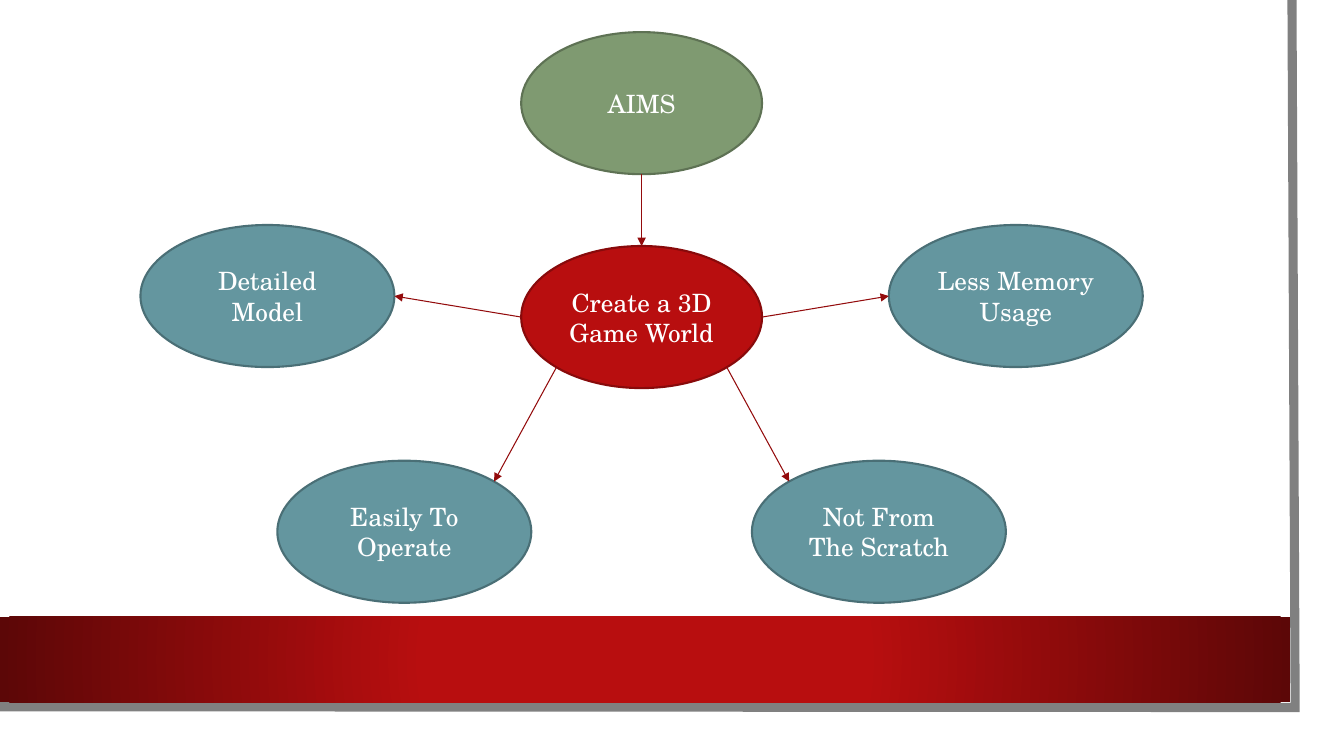
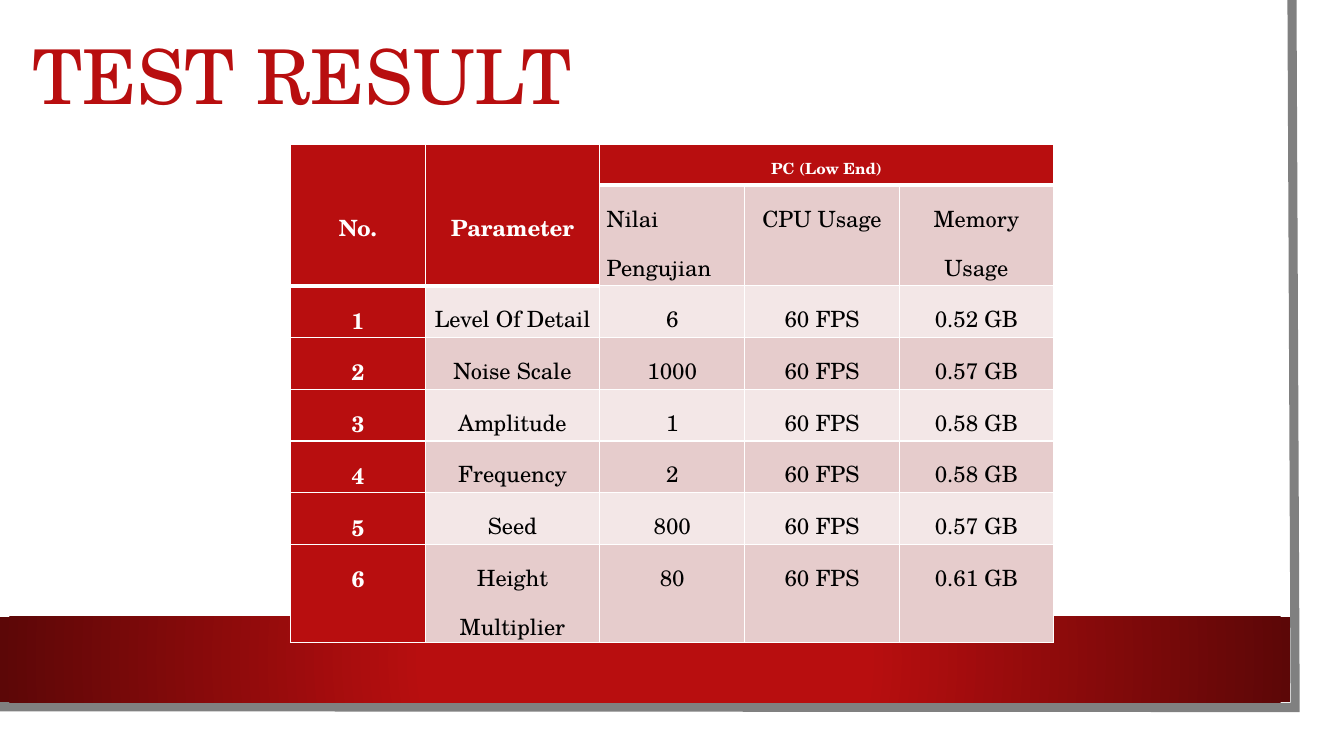
from math import sqrt

from lxml.etree import SubElement
from pptx import Presentation
from pptx.dml.color import RGBColor
from pptx.enum.shapes import MSO_CONNECTOR, MSO_SHAPE
from pptx.enum.text import MSO_ANCHOR, MSO_AUTO_SIZE, PP_ALIGN
from pptx.oxml.ns import qn
from pptx.util import Cm, Pt

FONT = "TeX Gyre Schola"
WHITE = RGBColor(0xFF, 0xFF, 0xFF)
BLACK = RGBColor(0x00, 0x00, 0x00)
GREY = RGBColor(0x80, 0x80, 0x80)
RED = RGBColor(0xB8, 0x0E, 0x0F)
RED_OUTLINE = RGBColor(0x88, 0x0A, 0x0B)
RED_ARROW = RGBColor(0x93, 0x0B, 0x0C)
DARK_RED = RGBColor(0x5C, 0x07, 0x07)
TEAL = RGBColor(0x64, 0x96, 0x9F)
TEAL_OUTLINE = RGBColor(0x4A, 0x6F, 0x76)
GREEN = RGBColor(0x7F, 0x9A, 0x71)
GREEN_OUTLINE = RGBColor(0x5E, 0x72, 0x54)
PINK = RGBColor(0xE6, 0xCC, 0xCC)
PALE_PINK = RGBColor(0xF3, 0xE7, 0xE7)

TITLE_ONLY, BLANK = 5, 6
OVAL_HEIGHT = 3.58
DIAGONAL = sqrt(0.5)


class Deck:
    """Holds the style, the presentation and the slide being filled."""

    def __init__(self):
        self.deck = Presentation()
        self.deck.slide_width, self.deck.slide_height = Cm(33.87), Cm(19.05)
        self.page = None

    def new_page(self, layout):
        self.page = self.deck.slides.add_slide(self.deck.slide_layouts[layout])
        self.add_paper_edge()
        self.add_banner()

    def add_paper_edge(self):
        builder = self.page.shapes.build_freeform(Cm(32.56), 0)
        corners = [(Cm(32.64), Cm(17.83)), (0, Cm(17.81))]
        builder.add_line_segments(corners, close=False)
        edge = builder.convert_to_shape()
        edge.shadow.inherit = False
        edge.fill.background()
        edge.line.color.rgb = GREY
        edge.line.width = Pt(6.5)
        SubElement(edge.line._get_or_add_ln(), qn("a:miter"), lim="800000")

    def add_banner(self):
        banner = self.page.shapes.add_shape(
            MSO_SHAPE.RECTANGLE, 0, Cm(15.54), Cm(32.51), Cm(2.16))
        banner.shadow.inherit = False
        banner.line.fill.background()
        banner.fill.gradient()
        stops = banner.fill.gradient_stops
        for stop, position, color in zip(stops, (0.34, 1), (RED, DARK_RED)):
            stop.position = position
            stop.color.rgb = color
        gradient = banner._element.spPr.find(qn("a:gradFill"))
        gradient.remove(gradient.find(qn("a:lin")))
        circle = SubElement(gradient, qn("a:path"))
        circle.set("path", "circle")
        SubElement(circle, qn("a:fillToRect"),
                   dict.fromkeys("ltrb", "50000"))

    def style(self, text_frame, size, color, bold=False,
              align=PP_ALIGN.CENTER, spacing=None):
        for paragraph in text_frame.paragraphs:
            paragraph.alignment = align
            paragraph.line_spacing = spacing
            for span in paragraph.runs:
                span.font.name = FONT
                span.font.size = Pt(size)
                span.font.bold = bold
                span.font.color.rgb = color

    def add_title(self, text):
        title = self.page.shapes.title
        title.left, title.top = Cm(0.56), Cm(0.41)
        title.width, title.height = Cm(14.3), Cm(3.2)
        frame = title.text_frame
        frame.text = text
        frame.auto_size = MSO_AUTO_SIZE.NONE
        frame.vertical_anchor = MSO_ANCHOR.MIDDLE
        self.style(frame, 54, RED, align=PP_ALIGN.LEFT, spacing=0.9)

    def add_oval(self, text, center, top, width, fill, outline):
        oval = self.page.shapes.add_shape(
            MSO_SHAPE.OVAL, Cm(center - width / 2), Cm(top),
            Cm(width), Cm(OVAL_HEIGHT))
        oval.shadow.inherit = False
        oval.fill.solid()
        oval.fill.fore_color.rgb = fill
        oval.line.color.rgb = outline
        oval.line.width = Pt(1.5)
        oval.text_frame.text = text
        oval.text_frame.vertical_anchor = MSO_ANCHOR.MIDDLE
        self.style(oval.text_frame, 18, WHITE)
        return oval

    def add_arrow(self, source, target, direction):
        """Joins two ovals; direction is the unit vector leaving the source."""
        across, down = direction
        start = rim_point(source, across, down)
        end = rim_point(target, -across, -down)
        arrow = self.page.shapes.add_connector(
            MSO_CONNECTOR.STRAIGHT, *start, *end)
        arrow.line.color.rgb = RED_ARROW
        arrow.line.width = Pt(0.75)
        SubElement(arrow.line._get_or_add_ln(), qn("a:tailEnd"),
                   type="triangle")
        SubElement(arrow._element.spPr, qn("a:effectLst"))

    def add_table(self, left, top, widths, heights):
        table = self.page.shapes.add_table(
            len(heights), len(widths), Cm(left), Cm(top),
            Cm(sum(widths)), Cm(sum(heights))).table
        for column, width in zip(table.columns, widths):
            column.width = Cm(width)
        for row, height in zip(table.rows, heights):
            row.height = Cm(height)
        return table

    def fill_cell(self, cell, text, fill, color, size=16, bold=False,
                  align=PP_ALIGN.CENTER, bottom_border=1):
        cell.text_frame.text = text
        cell.margin_left = cell.margin_right = Cm(0.18)
        cell.margin_top = cell.margin_bottom = 0
        self.style(cell.text_frame, size, color, bold, align, 1.5)
        set_borders(cell, bottom_border)
        cell.fill.solid()
        cell.fill.fore_color.rgb = fill


def rim_point(oval, across, down):
    return (round(oval.left + oval.width * (1 + across) / 2),
            round(oval.top + oval.height * (1 + down) / 2))


def set_borders(cell, bottom):
    """Adds white borders; they must come before the fill in the cell."""
    properties = cell._tc.get_or_add_tcPr()
    for side, points in (("L", 1), ("R", 1), ("T", 1), ("B", bottom)):
        line = SubElement(properties, qn(f"a:ln{side}"), w=str(Pt(points)))
        solid = SubElement(line, qn("a:solidFill"))
        SubElement(solid, qn("a:srgbClr"), val=str(WHITE))


def build_aims(deck):
    deck.new_page(BLANK)
    center, hub_width, goal_width = 16.17, 6.07, 6.4
    hub = deck.add_oval("Create a 3D Game World", center, 6.2, hub_width,
                        RED, RED_OUTLINE)
    goals = [
        ("Less Memory Usage", 9.43, 5.67, (1, 0)),
        ("Detailed Model", -9.43, 5.67, (-1, 0)),
        ("Easily To Operate", -5.98, 11.61, (-DIAGONAL, DIAGONAL)),
        ("Not From The Scratch", 5.98, 11.61, (DIAGONAL, DIAGONAL)),
    ]
    for text, offset, top, direction in goals:
        goal = deck.add_oval(text, center + offset, top, goal_width,
                             TEAL, TEAL_OUTLINE)
        deck.add_arrow(hub, goal, direction)
    aims = deck.add_oval("AIMS", center, 0.81, hub_width,
                         GREEN, GREEN_OUTLINE)
    deck.add_arrow(aims, hub, (0, 1))


def build_test_result(deck):
    deck.new_page(TITLE_ONLY)
    deck.add_title("TEST RESULT")
    results = [
        ("1", "Level Of Detail", "6", "60 FPS", "0.52 GB"),
        ("2", "Noise Scale", "1000", "60 FPS", "0.57 GB"),
        ("3", "Amplitude", "1", "60 FPS", "0.58 GB"),
        ("4", "Frequency", "2", "60 FPS", "0.58 GB"),
        ("5", "Seed", "800", "60 FPS", "0.57 GB"),
        ("6", "Height Multiplier", "80", "60 FPS", "0.61 GB"),
    ]
    table = deck.add_table(7.32, 3.63, (3.4, 4.39, 3.66, 3.89, 3.89),
                           [1.04, 2.24] + [1.04] * len(results))

    headings = ("No.", "Parameter", "PC (Low End)", "", "")
    for column, text in enumerate(headings):
        deck.fill_cell(table.cell(0, column), text, RED, WHITE, bold=True,
                       size=16 if column < 2 else 11, bottom_border=3)
    subheadings = ("", "", "Nilai Pengujian", "CPU Usage", "Memory Usage")
    for column, text in enumerate(subheadings):
        spanned = column < 2
        deck.fill_cell(table.cell(1, column), text,
                       RED if spanned else PINK, BLACK,
                       align=PP_ALIGN.LEFT if column == 2 else PP_ALIGN.CENTER,
                       bottom_border=3 if spanned else 1)
    for column in (0, 1):
        heading = table.cell(0, column)
        heading.merge(table.cell(1, column))
        heading.margin_top = Cm(1.23)
    table.cell(0, 2).merge(table.cell(0, 4))

    for row, result in enumerate(results, start=2):
        band = PINK if row % 2 else PALE_PINK
        for column, text in enumerate(result):
            number = column == 0
            deck.fill_cell(table.cell(row, column), text,
                           RED if number else band,
                           WHITE if number else BLACK, bold=number)


def main():
    deck = Deck()
    build_aims(deck)
    build_test_result(deck)
    deck.deck.save("out.pptx")


if __name__ == "__main__":
    main()
